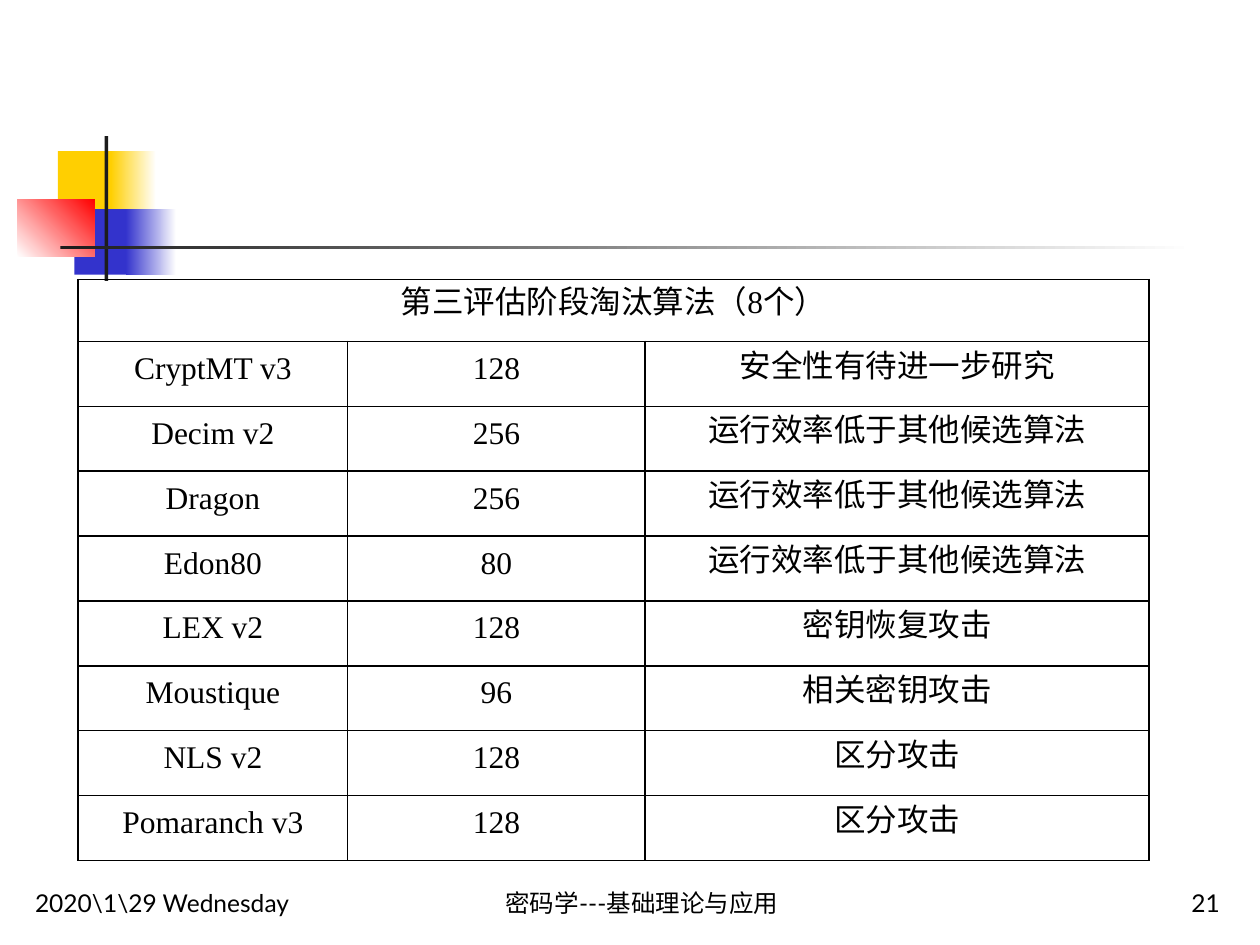
from lxml.etree import SubElement
from pptx import Presentation
from pptx.dml.color import RGBColor
from pptx.enum.shapes import MSO_SHAPE
from pptx.enum.text import MSO_ANCHOR, PP_ALIGN
from pptx.oxml import parse_xml
from pptx.oxml.ns import nsdecls
from pptx.util import Inches, Pt

BLACK = RGBColor(0x00, 0x00, 0x00)
WHITE = RGBColor(0xFF, 0xFF, 0xFF)
YELLOW = RGBColor(0xFF, 0xCF, 0x01)
BLUE = RGBColor(0x33, 0x33, 0xCC)
RED = RGBColor(0xFF, 0x00, 0x00)
CHARCOAL = RGBColor(0x1C, 0x1C, 0x1C)


def write_text(text_frame, text, alignment, font_name, size):
    paragraph = text_frame.paragraphs[0]
    paragraph.alignment = alignment
    run = paragraph.add_run()
    run.text = text
    run.font.name = font_name
    run.font.size = Pt(size)
    run.font.color.rgb = BLACK
    return paragraph


presentation = Presentation()
presentation.slide_width = Inches(10)
presentation.slide_height = Inches(7.5)
slide = presentation.slides.add_slide(presentation.slide_layouts[6])

decorations = [
    (0.46, 1.2, 0.48, 0.52, [YELLOW], 0),
    (0.88, 1.2, 0.36, 0.52, [YELLOW, WHITE], 0),
    (0.59, 1.66, 0.46, 0.52, [BLUE], 0),
    (1, 1.66, 0.4, 0.52, [BLUE, WHITE], 0),
    (0.14, 1.58, 0.61, 0.46, [WHITE, RED], 45),
    (0.83, 1.08, 0.03, 1.15, [CHARCOAL], 0),
    (0.48, 1.95, 9, 0.03, [CHARCOAL, WHITE], 0),
]
for left, top, width, height, colors, angle in decorations:
    shape = slide.shapes.add_shape(
        MSO_SHAPE.RECTANGLE, Inches(left), Inches(top), Inches(width), Inches(height)
    )
    shape.shadow.inherit = False
    shape.line.fill.background()
    if len(colors) == 1:
        shape.fill.solid()
        shape.fill.fore_color.rgb = colors[0]
    else:
        shape.fill.gradient()
        shape.fill.gradient_angle = angle
        for stop, color in zip(shape.fill.gradient_stops, colors):
            stop.color.rgb = color

footers = [
    (0.18, 2.76, "2020\\1\\29 Wednesday", PP_ALIGN.LEFT),
    (3.51, 3.17, "密码学---基础理论与应用", PP_ALIGN.CENTER),
    (7.7, 2.08, "21", PP_ALIGN.RIGHT),
]
for left, width, text, alignment in footers:
    text_box = slide.shapes.add_textbox(
        Inches(left), Inches(6.83), Inches(width), Inches(0.5)
    )
    text_box.text_frame.word_wrap = True
    text_box.text_frame.vertical_anchor = MSO_ANCHOR.BOTTOM
    write_text(text_box.text_frame, text, alignment, "Lato", 14)

rows = [
    ("第三评估阶段淘汰算法（8个）",),
    ("CryptMT v3", "128", "安全性有待进一步研究"),
    ("Decim v2", "256", "运行效率低于其他候选算法"),
    ("Dragon", "256", "运行效率低于其他候选算法"),
    ("Edon80", "80", "运行效率低于其他候选算法"),
    ("LEX v2", "128", "密钥恢复攻击"),
    ("Moustique", "96", "相关密钥攻击"),
    ("NLS v2", "128", "区分攻击"),
    ("Pomaranch v3", "128", "区分攻击"),
]
column_widths = [2.14, 2.36, 4]
table_height = 4.61
header_height = 0.49
body_height = (table_height - header_height) / (len(rows) - 1)

table = slide.shapes.add_table(
    len(rows), len(column_widths),
    Inches(0.62), Inches(2.22), Inches(sum(column_widths)), Inches(table_height),
).table
table.first_row = False
table.horz_banding = False
for column, width in zip(table.columns, column_widths):
    column.width = Inches(width)
for row_index, row in enumerate(table.rows):
    row.height = Inches(body_height if row_index else header_height)
    for cell in row.cells:
        cell.fill.background()
        cell.vertical_anchor = MSO_ANCHOR.MIDDLE
        cell.margin_left = cell.margin_right = Inches(0.07)
        cell.margin_top = cell.margin_bottom = 0
        properties = cell._tc.get_or_add_tcPr()
        for position, side in enumerate(("lnL", "lnR", "lnT", "lnB")):
            border = parse_xml(f'<a:{side} {nsdecls("a")} w="{Pt(1)}"/>')
            fill = SubElement(border, f"{{{border.nsmap['a']}}}solidFill")
            SubElement(fill, f"{{{border.nsmap['a']}}}srgbClr", val=str(BLACK))
            properties.insert(position, border)
table.cell(0, 0).merge(table.cell(0, len(column_widths) - 1))

for row_index, texts in enumerate(rows):
    for column_index, text in enumerate(texts):
        cell = table.cell(row_index, column_index)
        paragraph = write_text(
            cell.text_frame, text, PP_ALIGN.CENTER, "Times New Roman", 18
        )
        paragraph.line_spacing = Pt(14)

presentation.save("out.pptx")
